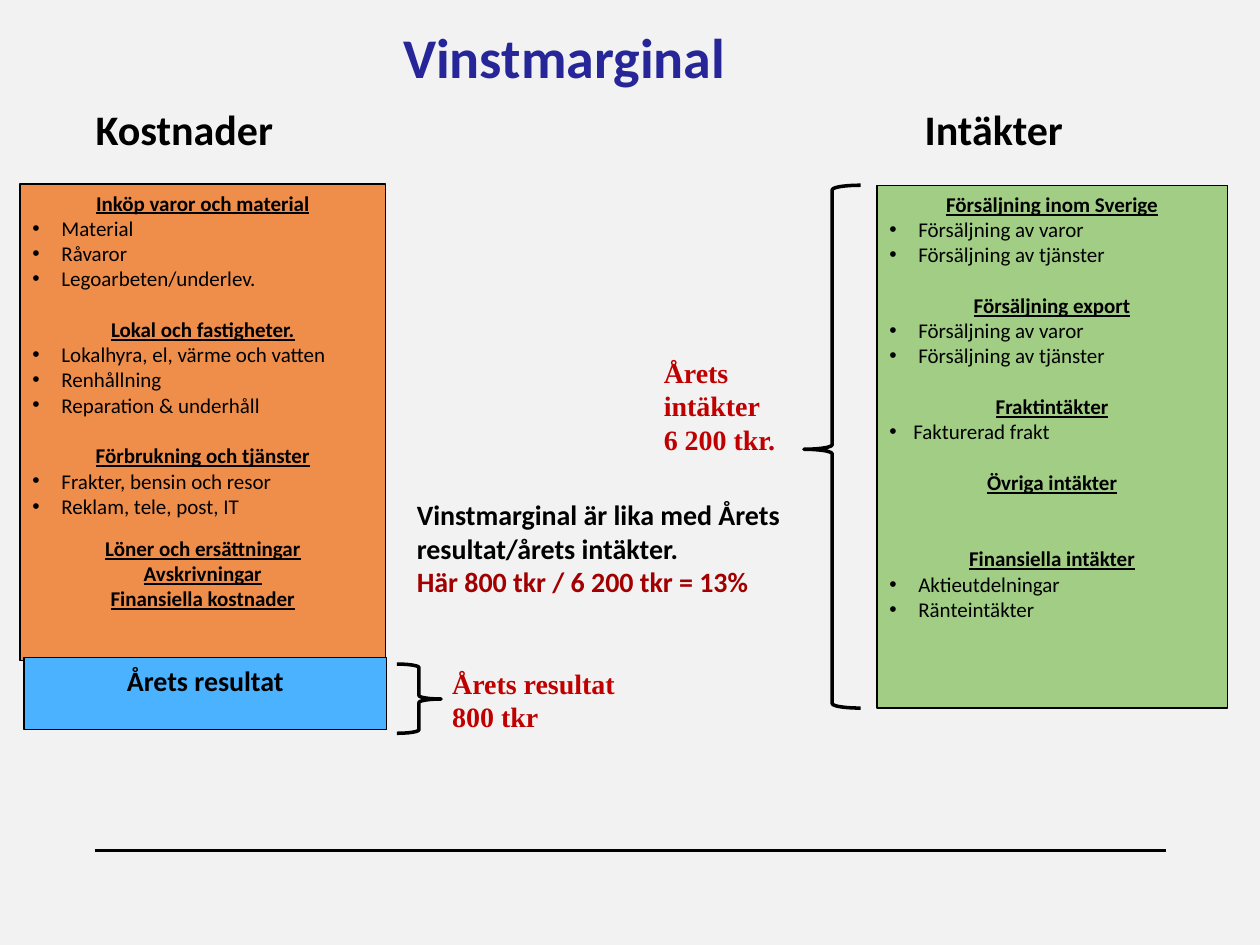
from dataclasses import dataclass

from lxml import etree
from pptx import Presentation
from pptx.dml.color import RGBColor
from pptx.enum.shapes import MSO_CONNECTOR, MSO_SHAPE
from pptx.enum.text import MSO_ANCHOR, MSO_AUTO_SIZE, PP_ALIGN
from pptx.oxml.ns import qn
from pptx.util import Inches, Pt

RECTANGLE = MSO_SHAPE.RECTANGLE
RIGHT_BRACE = MSO_SHAPE.RIGHT_BRACE
STRAIGHT = MSO_CONNECTOR.STRAIGHT
TOP = MSO_ANCHOR.TOP
FIT_SHAPE = MSO_AUTO_SIZE.SHAPE_TO_FIT_TEXT
LEFT, CENTER = PP_ALIGN.LEFT, PP_ALIGN.CENTER

BACKGROUND = RGBColor(0xF2, 0xF2, 0xF2)
BLACK = RGBColor(0x00, 0x00, 0x00)
TITLE_BLUE = RGBColor(0x26, 0x26, 0x99)
RED = RGBColor(0xC0, 0x00, 0x00)
DARK_RED = RGBColor(0xA2, 0x00, 0x00)
ORANGE = RGBColor(0xEF, 0x8D, 0x4B)
BLUE = RGBColor(0x4B, 0xB2, 0xFF)
GREEN = RGBColor(0xA2, 0xCD, 0x85)

SANS, SERIF = "Calibri", "Times New Roman"
LINE_GAP = 14.6  # height of one 12 point line, in points


@dataclass(frozen=True)
class Box:
    left: float
    top: float
    width: float
    height: float

    def lengths(self) -> tuple:
        return tuple(map(Inches, (self.left, self.top, self.width, self.height)))


@dataclass(frozen=True)
class Group:
    heading: str
    items: tuple = ()
    gap: float = LINE_GAP
    indent: float = 0.23


@dataclass(frozen=True)
class Label:
    box: Box
    lines: tuple
    size: float
    colors: tuple = (BLACK,)
    font: str = SANS
    align: PP_ALIGN = LEFT


COSTS = (
    Group("Inköp varor och material",
          ("Material", "Råvaror", "Legoarbeten/underlev."), gap=0),
    Group("Lokal och fastigheter.",
          ("Lokalhyra, el, värme och vatten", "Renhållning",
           "Reparation & underhåll")),
    Group("Förbrukning och tjänster",
          ("Frakter, bensin och resor", "Reklam, tele, post, IT")),
    Group("Löner och ersättningar", gap=9.7),
    Group("Avskrivningar", gap=0),
    Group("Finansiella kostnader", gap=0),
)
SALES = ("Försäljning av varor", "Försäljning av tjänster")
REVENUES = (
    Group("Försäljning inom Sverige", SALES, gap=0),
    Group("Försäljning export", SALES),
    Group("Fraktintäkter", ("Fakturerad frakt",), indent=0.19),
    Group("Övriga intäkter"),
    Group("Finansiella intäkter", ("Aktieutdelningar", "Ränteintäkter"),
          gap=2 * LINE_GAP),
)
LABELS = (
    Label(Box(2.73, 0.13, 3.5, 0.64), ("Vinstmarginal",), 32, (TITLE_BLUE,),
          align=CENTER),
    Label(Box(0.66, 0.77, 1.68, 0.5), ("Kostnader",), 24),
    Label(Box(7.24, 0.77, 1.53, 0.5), ("Intäkter",), 24),
    Label(Box(3.49, 5.24, 1.82, 0.64), ("Årets resultat", "800 tkr"), 16,
          (RED, RED), SERIF),
    Label(Box(5.17, 2.77, 1.36, 0.91), ("Årets intäkter", "6 200 tkr."), 16,
          (RED, RED), SERIF),
    Label(Box(3.21, 3.9, 3.12, 0.91),
          ("Vinstmarginal är lika med Årets resultat/årets intäkter.",
           "Här 800 tkr / 6 200 tkr = 13%"), 16, (BLACK, DARK_RED)),
)


def add_bullet(paragraph, indent: float) -> None:
    properties = paragraph._p.get_or_add_pPr()
    properties.set("marL", str(Inches(indent)))
    properties.set("indent", str(-Inches(indent)))
    etree.SubElement(properties, qn("a:buFont")).set("typeface", "Arial")
    etree.SubElement(properties, qn("a:buChar")).set("char", "•")


def write(frame, text: str, *, size: float = 12, color=BLACK, font: str = SANS,
          bold: bool = True, underline: bool = False, align=LEFT,
          gap: float = 0, indent: float = 0) -> None:
    """Fill the empty first paragraph, or append another one."""
    paragraph = frame.paragraphs[0]
    if paragraph.runs:
        paragraph = frame.add_paragraph()
    paragraph.alignment = align
    if gap:
        paragraph.space_before = Pt(gap)
    if indent:
        add_bullet(paragraph, indent)
    run = paragraph.add_run()
    run.text = text
    run.font.name = font
    run.font.size = Pt(size)
    run.font.bold = bold
    run.font.underline = underline
    run.font.color.rgb = color


def add_panel(slide, box: Box, fill: RGBColor):
    shape = slide.shapes.add_shape(RECTANGLE, *box.lengths())
    shape.shadow.inherit = False
    shape.fill.solid()
    shape.fill.fore_color.rgb = fill
    shape.line.color.rgb = BLACK
    shape.line.width = Pt(0.75)
    shape.text_frame.word_wrap = True
    shape.text_frame.vertical_anchor = TOP
    return shape.text_frame


def write_groups(frame, groups: tuple) -> None:
    for group in groups:
        write(frame, group.heading, underline=True, align=CENTER, gap=group.gap)
        for item in group.items:
            write(frame, item, bold=False, indent=group.indent)


def add_brace(slide, box: Box, flipped: bool = False) -> None:
    shape = slide.shapes.add_shape(RIGHT_BRACE, *box.lengths())
    shape.shadow.inherit = False
    shape.fill.background()
    shape.line.color.rgb = BLACK
    shape.line.width = Pt(2)
    shape.adjustments[0] = 0.08
    shape.adjustments[1] = 0.505
    if flipped:
        shape._element.spPr.get_or_add_xfrm().set("flipH", "1")


def add_label(slide, label: Label) -> None:
    frame = slide.shapes.add_textbox(*label.box.lengths()).text_frame
    frame.word_wrap = True
    frame.auto_size = FIT_SHAPE
    for text, color in zip(label.lines, label.colors):
        write(frame, text, size=label.size, color=color, font=label.font,
              align=label.align)


def add_footer_line(slide) -> None:
    line = slide.shapes.add_connector(
        STRAIGHT, Inches(0.75), Inches(6.75), Inches(9.25), Inches(6.75))
    line.line.color.rgb = BLACK
    line.line.width = Pt(1.5)
    etree.SubElement(line._element.spPr, qn("a:effectLst"))


def main() -> None:
    presentation = Presentation()
    presentation.slide_width = Inches(10)
    presentation.slide_height = Inches(7.5)
    slide = presentation.slides.add_slide(presentation.slide_layouts[6])
    slide.background.fill.solid()
    slide.background.fill.fore_color.rgb = BACKGROUND

    add_footer_line(slide)

    # Braces that mark the result and the revenues
    add_brace(slide, Box(3.15, 5.27, 0.35, 0.55))
    add_brace(slide, Box(6.38, 1.47, 0.45, 4.15), flipped=True)

    # Cost, result and revenue panels
    write_groups(add_panel(slide, Box(0.16, 1.46, 2.9, 3.78), ORANGE), COSTS)
    result = add_panel(slide, Box(0.19, 5.22, 2.88, 0.57), BLUE)
    write(result, "Årets resultat", size=16, align=CENTER)
    write_groups(add_panel(slide, Box(6.96, 1.47, 2.78, 4.15), GREEN), REVENUES)

    # Title, headings and explanations
    for label in LABELS:
        add_label(slide, label)

    presentation.save("out.pptx")


if __name__ == "__main__":
    main()
